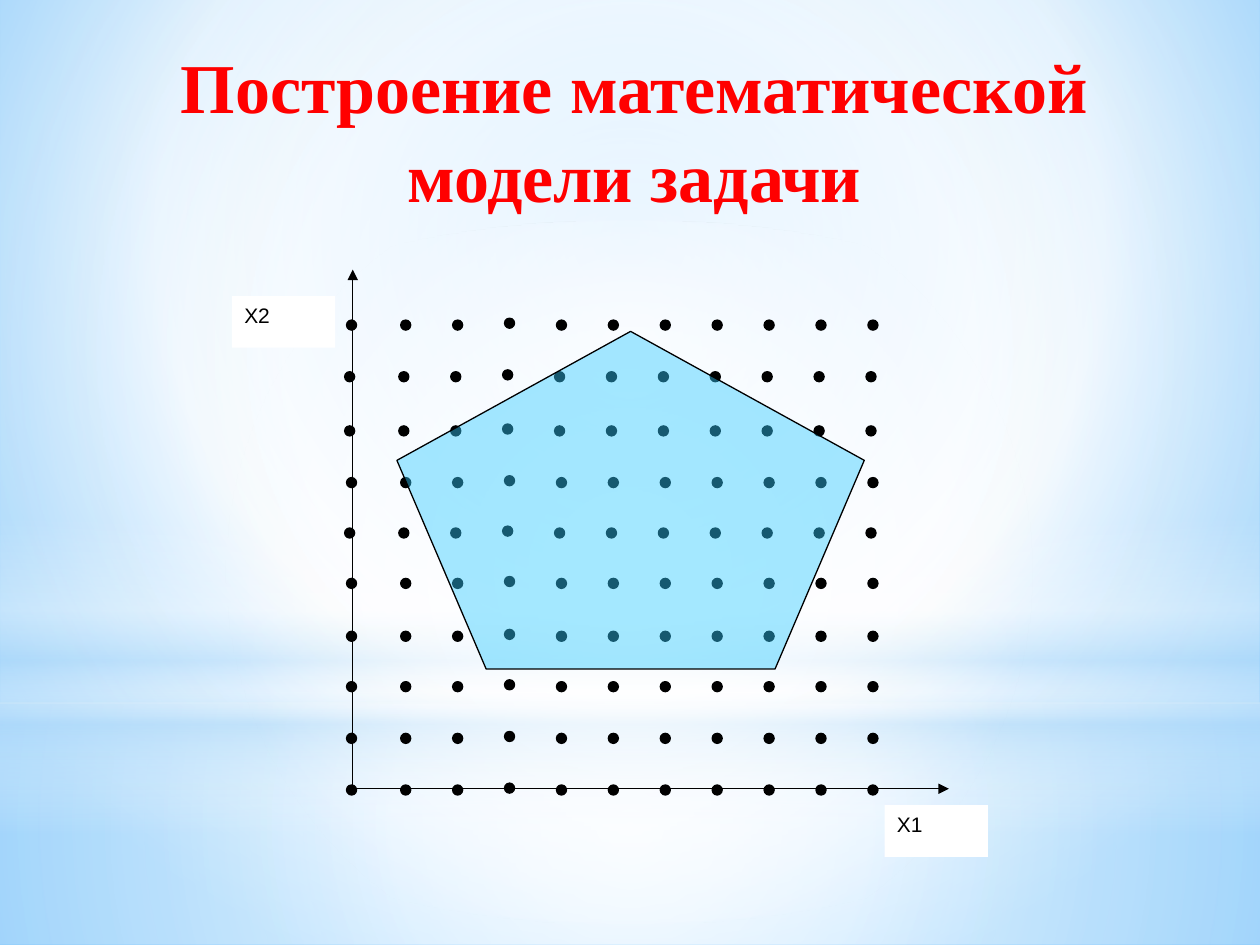
from lxml import etree
from pptx import Presentation
from pptx.dml.color import RGBColor
from pptx.enum.shapes import MSO_CONNECTOR, MSO_SHAPE
from pptx.enum.text import MSO_ANCHOR, MSO_AUTO_SIZE, PP_ALIGN
from pptx.oxml.ns import qn
from pptx.util import Inches, Pt

RECTANGLE, OVAL, PENTAGON = MSO_SHAPE.RECTANGLE, MSO_SHAPE.OVAL, MSO_SHAPE.REGULAR_PENTAGON
STRAIGHT = MSO_CONNECTOR.STRAIGHT
TOP, MIDDLE = MSO_ANCHOR.TOP, MSO_ANCHOR.MIDDLE
LEFT, CENTER = PP_ALIGN.LEFT, PP_ALIGN.CENTER
GROW = MSO_AUTO_SIZE.SHAPE_TO_FIT_TEXT

COLORS = {
    "title": "FF0000", "ink": "000000", "white": "FFFFFF", "region": "33CCFF",
    "sky": "9ED5FF", "edge": "5BB9FF", "haze": "B4DCFA",
}
color = {name: RGBColor.from_string(value) for name, value in COLORS.items()}


def paint_gradient(parent, stops, focus=None):
    gradient = etree.Element(qn("a:gradFill"), rotWithShape="1")
    stop_list = etree.SubElement(gradient, qn("a:gsLst"))
    for position, name, opacity in stops:
        stop = etree.SubElement(stop_list, qn("a:gs"), pos=str(position * 1000))
        tint = etree.SubElement(stop, qn("a:srgbClr"), val=COLORS[name])
        if opacity < 100:
            etree.SubElement(tint, qn("a:alpha"), val=str(opacity * 1000))
    if focus:
        circle = etree.SubElement(gradient, qn("a:path"), path="circle")
        sides = {side: str(share * 1000) for side, share in zip("ltrb", focus)}
        etree.SubElement(circle, qn("a:fillToRect"), sides)
    else:
        etree.SubElement(gradient, qn("a:lin"), ang="5400000", scaled="0")
    parent.replace(parent.find(qn("a:solidFill")), gradient)


def add_filled(shapes, kind, left, top, width, height, fill, outlined=False):
    shape = shapes.add_shape(kind, Inches(left), Inches(top), Inches(width), Inches(height))
    shape.shadow.inherit = False
    shape.fill.solid()
    shape.fill.fore_color.rgb = color[fill]
    if outlined:
        shape.line.color.rgb = color["ink"]
        shape.line.width = Pt(0.75)
    else:
        shape.line.fill.background()
    return shape


deck = Presentation()
deck.slide_width, deck.slide_height = Inches(10), Inches(7.5)
page = deck.slides.add_slide(deck.slide_layouts[5])

page.background.fill.solid()
paint_gradient(
    page.element.find(".//" + qn("p:bgPr")),
    [(0, "sky", 100), (60, "white", 100), (100, "edge", 100)],
    (20, 10, 20, 60),
)

center = (50, 50, 50, 50)
backdrops = [
    (RECTANGLE, 5.58, 1.92, [(0, "white", 91), (37, "white", 76), (100, "haze", 79)], center),
    (RECTANGLE, 0, 5.58, [(0, "white", 89), (48, "white", 62), (100, "haze", 79)], center),
    (RECTANGLE, 4.12, 2.5, [(0, "white", 0), (29, "white", 30), (45, "haze", 40),
                            (55, "white", 26), (65, "haze", 60), (100, "white", 0)], None),
    (OVAL, 1.75, 5.58, [(0, "white", 100), (56, "white", 0)], center),
]
for kind, top, height, stops, focus in backdrops:
    backdrop = add_filled(page.shapes, kind, 0, top, 10, height, "white")
    paint_gradient(backdrop.element.spPr, stops, focus)

title = page.shapes.title
title.element.getparent().append(title.element)
title.left, title.top = Inches(0.43), Inches(0.29)
title.width, title.height = Inches(9.21), Inches(1.45)
title.text_frame.word_wrap = True
title.text_frame.auto_size = GROW
title.text_frame.vertical_anchor = MIDDLE
para = title.text_frame.paragraphs[0]
para.alignment = CENTER
para.line_spacing = 1.05
span = para.add_run()
span.text = "Построение математической модели задачи"
span.font.name = "Times New Roman"
span.font.size = Pt(40)
span.font.bold = True
span.font.color.rgb = color["title"]

plot = page.shapes.add_group_shape().shapes

origin_x, origin_y = 2.8, 6.26
for end_x, end_y in [(7.53, origin_y), (origin_x, 2.14)]:
    axis = plot.add_connector(
        STRAIGHT, Inches(origin_x), Inches(origin_y), Inches(end_x), Inches(end_y))
    axis.line.color.rgb = color["ink"]
    axis.line.width = Pt(0.75)
    etree.SubElement(axis.line._get_or_add_ln(), qn("a:tailEnd"), type="triangle")
    etree.SubElement(axis.element.spPr, qn("a:effectLst"))

columns = [2.75] + [3.18 + 0.412 * step for step in range(10)]
rows = [2.54, 2.95, 3.38, 3.79, 4.19, 4.59, 5.01, 5.41, 5.82, 6.23]
shifted_rows = {2.95, 3.38, 4.19}
raised_column = 3
for row in rows:
    shift = 0.015 if row in shifted_rows else 0
    for index, column in enumerate(columns):
        rise = 0.015 if index == raised_column else 0
        add_filled(plot, OVAL, column - shift, row - rise, 0.08, 0.08, "ink", True)

region = add_filled(plot, PENTAGON, 3.15, 2.63, 3.71, 2.68, "region", True)
region_color = region.element.spPr.find(qn("a:solidFill"))[0]
etree.SubElement(region_color, qn("a:alpha"), val="44000")

for name, left, top in [("X1", 7.02, 6.39), ("X2", 1.84, 2.35)]:
    box = add_filled(plot, RECTANGLE, left, top, 0.82, 0.41, "white")
    box.text_frame.word_wrap = True
    box.text_frame.vertical_anchor = TOP
    para = box.text_frame.paragraphs[0]
    para.alignment = LEFT
    span = para.add_run()
    span.text = name
    span.font.name = "Arial"
    span.font.size = Pt(12)
    span.font.color.rgb = color["ink"]

deck.save("out.pptx")
